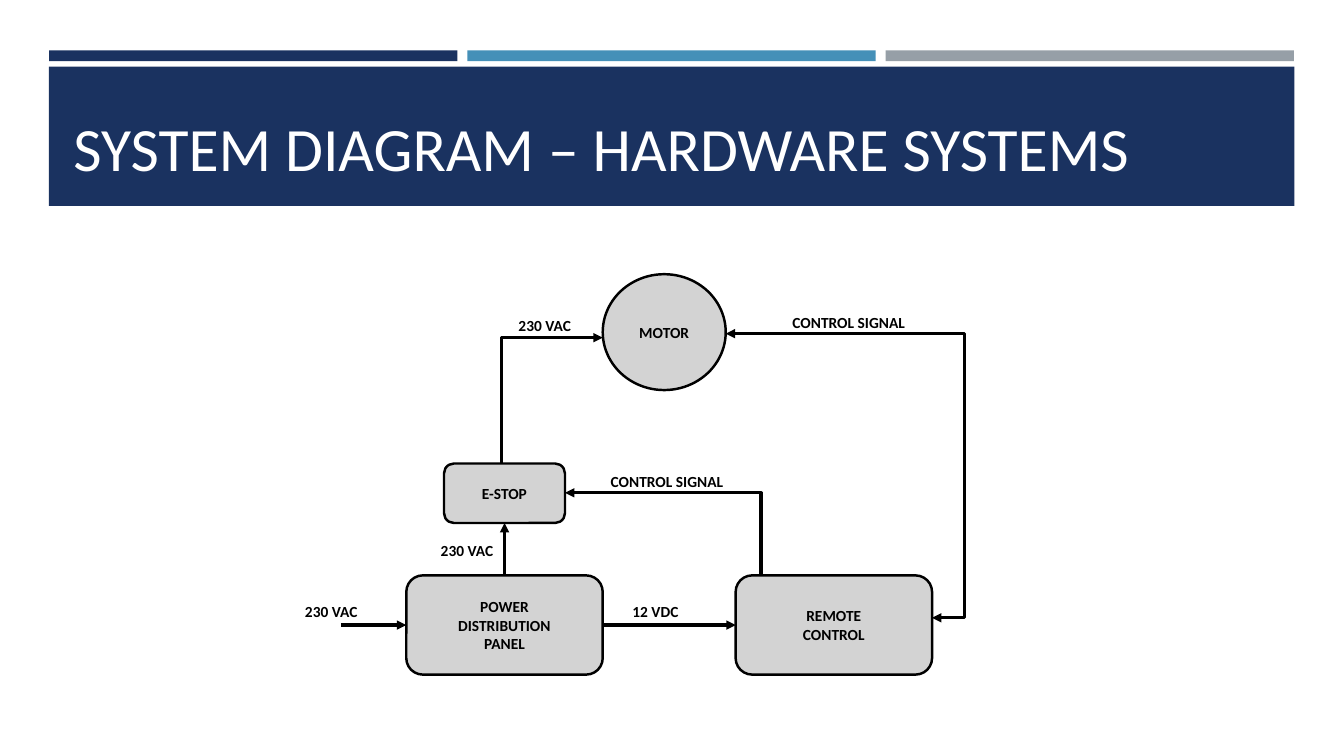
from lxml.etree import SubElement
from pptx import Presentation
from pptx.dml.color import RGBColor
from pptx.enum.shapes import MSO_CONNECTOR as Route, MSO_SHAPE as Preset
from pptx.enum.text import MSO_ANCHOR as Anchor, PP_ALIGN as Align
from pptx.oxml.ns import qn
from pptx.util import Cm, Pt

NAVY, BLUE, GREY = "1A3260", "4590B8", "969FA7"
BLACK, WHITE, BLOCK_FILL = "000000", "FFFFFF", "D3D3D3"
TITLE_FONT = {"name": "Calibri", "size": Pt(44)}
LABEL_FONT = {"name": "Calibri", "size": Pt(11), "bold": True}


def rgb(hex_string):
    return RGBColor.from_string(hex_string)


def write(frame, text, font_format, color, align):
    """Fill a text frame, one paragraph per line of text."""
    frame.word_wrap = True
    frame.text = text
    for paragraph in frame.paragraphs:
        paragraph.alignment = align
        for key, value in font_format.items():
            setattr(paragraph.font, key, value)
        paragraph.font.color.rgb = rgb(color)


prs = Presentation()
prs.slide_width, prs.slide_height = Cm(33.87), Cm(19.05)
slide = prs.slides.add_slide(prs.slide_layouts[6])
shapes = slide.shapes

# Header: three bars above a title banner
header = [(1.24 + 10.54 * i, 1.27, 10.29, 0.27, color)
          for i, color in enumerate([NAVY, BLUE, GREY])]
header.append((1.23, 1.68, 31.39, 3.51, NAVY))
for left, top, width, height, color in header:
    band = shapes.add_shape(Preset.RECTANGLE, Cm(left), Cm(top), Cm(width), Cm(height))
    band.shadow.inherit = False
    band.fill.solid()
    band.fill.fore_color.rgb = rgb(color)
    band.line.fill.background()

title = shapes.add_textbox(Cm(1.6), Cm(2.03), Cm(30.63), Cm(2.74)).text_frame
write(title, "SYSTEM DIAGRAM – HARDWARE SYSTEMS", TITLE_FONT, WHITE, Align.LEFT)
title.vertical_anchor = Anchor.BOTTOM

# Hardware blocks: text, preset, left, top, width, height, side margin
block_rows = [
    ("POWER\nDISTRIBUTION\nPANEL", Preset.ROUNDED_RECTANGLE, 10.24, 14.5, 4.95, 2.5, 0.25),
    ("REMOTE CONTROL", Preset.ROUNDED_RECTANGLE, 18.54, 14.5, 4.95, 2.5, 1.2),
    ("E-STOP", Preset.ROUNDED_RECTANGLE, 11.19, 11.68, 3.05, 1.5, 0.25),
    ("MOTOR", Preset.FLOWCHART_CONNECTOR, 15.19, 6.91, 3.1, 2.92, 0),
]
blocks = []
for text, preset, left, top, width, height, margin in block_rows:
    block = shapes.add_shape(preset, Cm(left), Cm(top), Cm(width), Cm(height))
    block.shadow.inherit = False
    block.fill.solid()
    block.fill.fore_color.rgb = rgb(BLOCK_FILL)
    block.line.color.rgb = rgb(BLACK)
    block.line.width = Pt(1.75)
    frame = block.text_frame
    frame.margin_left = frame.margin_right = Cm(margin)
    frame.vertical_anchor = Anchor.MIDDLE
    write(frame, text, LABEL_FONT, BLACK, Align.CENTER)
    blocks.append(block)
panel, remote, e_stop, motor = blocks

# Wires: start, end, x of the bend (None when straight), ends with an arrowhead
wire_rows = [
    ((8.59, 15.75), (10.24, 15.75), None, ["tailEnd"]),
    ((15.19, 15.75), (18.54, 15.75), None, ["tailEnd"]),
    ((12.71, 14.5), (12.71, 13.18), None, ["tailEnd"]),
    ((12.65, 11.68), (15.19, 8.51), 12.65, ["tailEnd"]),
    ((19.18, 14.5), (14.24, 12.42), 19.18, ["tailEnd"]),
    ((23.49, 15.57), (18.29, 8.41), 24.31, ["headEnd", "tailEnd"]),
]
wires = []
for (x1, y1), (x2, y2), bend, arrowheads in wire_rows:
    route = Route.STRAIGHT if bend is None else Route.ELBOW
    wire = shapes.add_connector(route, Cm(x1), Cm(y1), Cm(x2), Cm(y2))
    wire.line.color.rgb = rgb(BLACK)
    wire.line.width = Pt(2.25)
    properties = wire.element.spPr
    for arrowhead in arrowheads:
        SubElement(properties.find(qn("a:ln")), qn(f"a:{arrowhead}"), type="triangle")
    SubElement(properties, qn("a:effectLst"))
    if bend is not None:
        share = round((bend - x1) / (x2 - x1) * 100000)
        guides = properties.find(qn("a:prstGeom")).get_or_add_avLst()
        SubElement(guides, qn("a:gd"), name="adj1", fmla=f"val {share}")
    wires.append(wire)

supply, panel_to_remote, panel_to_stop = wires[:3]
supply.end_connect(panel, 1)
panel_to_remote.begin_connect(panel, 3)
panel_to_remote.end_connect(remote, 1)
panel_to_stop.begin_connect(panel, 0)
panel_to_stop.end_connect(e_stop, 2)

# Wire labels: text, left, top, width
for text, left, top, width in [
    ("230 VAC", 7.32, 15.06, 2.06),
    ("230 VAC", 10.74, 13.51, 2.06),
    ("230 VAC", 12.7, 7.85, 2.06),
    ("CONTROL SIGNAL", 14.6, 11.76, 4.42),
    ("CONTROL SIGNAL", 19.18, 7.77, 4.42),
    ("12 VDC", 15.49, 15.06, 2.06),
]:
    label = shapes.add_textbox(Cm(left), Cm(top), Cm(width), Cm(0.91))
    write(label.text_frame, text, LABEL_FONT, BLACK, Align.CENTER)

prs.save("out.pptx")
